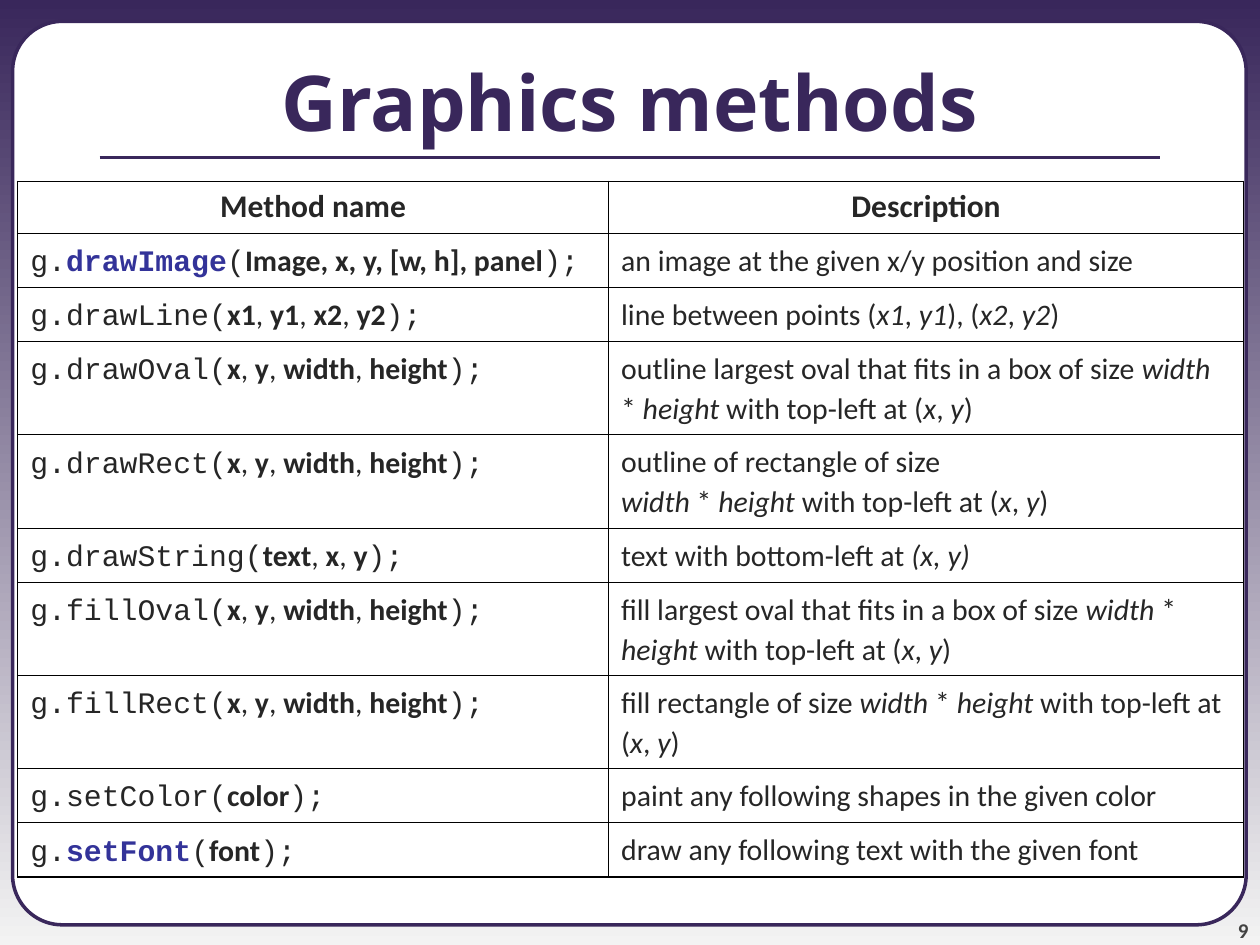
from dataclasses import dataclass

import pptx
import pptx.dml.color
import pptx.enum.dml
import pptx.enum.shapes
import pptx.enum.text
import pptx.oxml
import pptx.oxml.ns
import pptx.util
from pptx.util import Inches

ALIGN = pptx.enum.text.PP_ALIGN
ANCHOR = pptx.enum.text.MSO_ANCHOR


@dataclass(frozen=True)
class Theme:
    purple: str = "39275B"
    pale: str = "F3F3F3"
    panel: str = "FFFFFF"
    text: str = "262626"
    accent: str = "333399"
    number: str = "424242"
    border: str = "000000"
    title_font: str = "Open Sans"
    body_font: str = "Calibri"
    code_font: str = "Courier New"
    title_size: float = 44
    header_size: float = 18
    body_size: float = 17
    number_size: float = 12
    outer_line: float = 1.08
    inner_line: float = 0.45


@dataclass(frozen=True)
class Method:
    name: str
    args: tuple[str, ...]
    description: str  # underscores enclose italic parts
    height: float = 0.43
    highlight: bool = False


THEME = Theme()
TALL = 0.74
BOX = ("x", "y", "width", "height")
METHODS = [
    Method("drawImage", ("Image, x, y, [w, h], panel",),
           "an image at the given x/y position and size", highlight=True),
    Method("drawLine", ("x1", "y1", "x2", "y2"),
           "line between points (_x1_, _y1_), (_x2_, _y2_)"),
    Method("drawOval", BOX,
           "outline largest oval that fits in a box of size _width _* _height_"
           " with top-left at (_x_, _y_)", TALL),
    Method("drawRect", BOX,
           "outline of rectangle of size\n_width_ * _height_"
           " with top-left at (_x_, _y_)", TALL),
    Method("drawString", ("text", "x", "y"),
           "text with bottom-left at _(x, y)_"),
    Method("fillOval", BOX,
           "fill largest oval that fits in a box of size _width _* _height_"
           " with top-left at (_x_, _y_)", TALL),
    Method("fillRect", BOX,
           "fill rectangle of size _width_ * _height_"
           " with top-left at (_x_, _y_)", TALL),
    Method("setColor", ("color",),
           "paint any following shapes in the given color"),
    Method("setFont", ("font",),
           "draw any following text with the given font", highlight=True),
]


def rgb(color: str) -> pptx.dml.color.RGBColor:
    return pptx.dml.color.RGBColor.from_string(color)


def style(font, name: str, size: float, color: str,
          bold: bool = False, italic: bool = False) -> None:
    font.name = name
    font.size = pptx.util.Pt(size)
    font.color.rgb = rgb(color)
    font.bold = bold
    font.italic = italic


def add_run(p, text: str, name: str = THEME.body_font, color: str = THEME.text,
            bold: bool = False, italic: bool = False) -> None:
    r = p.add_run()
    r.text = text
    style(r.font, name, THEME.body_size, color, bold, italic)


def add_label(s, box: tuple[float, ...], text: str, align, anchor,
              font: str, size: float, color: str, margin: bool = True) -> None:
    sp = s.shapes.add_textbox(*map(Inches, box))
    tf = sp.text_frame
    tf.text = text
    tf.word_wrap = True
    tf.vertical_anchor = anchor
    if not margin:
        tf.margin_left = tf.margin_right = tf.margin_top = tf.margin_bottom = 0
    p = tf.paragraphs[0]
    p.alignment = align
    style(p.runs[0].font, font, size, color, bold=True)


def add_background(s) -> None:
    fill = s.background.fill
    fill.gradient()
    fill.gradient_angle = 270
    for stop, color, position in zip(
            fill.gradient_stops, (THEME.purple, THEME.pale), (0, 1)):
        stop.color.rgb = rgb(color)
        stop.position = position


def add_panel(s) -> None:
    sp = s.shapes.add_shape(pptx.enum.shapes.MSO_SHAPE.ROUNDED_RECTANGLE,
                            Inches(0.1), Inches(0.17), Inches(9.79), Inches(7.17))
    sp.adjustments[0] = 0.055
    sp.shadow.inherit = False
    sp.fill.solid()
    sp.fill.fore_color.rgb = rgb(THEME.panel)
    sp.line.color.rgb = rgb(THEME.purple)
    sp.line.width = pptx.util.Pt(2)


def add_rule(s) -> None:
    line = s.shapes.add_connector(pptx.enum.shapes.MSO_CONNECTOR.STRAIGHT,
                                  Inches(0.79), Inches(1.25), Inches(9.21), Inches(1.25))
    line.line.color.rgb = rgb(THEME.purple)
    line.line.width = pptx.util.Pt(2.25)
    pptx.oxml.ns.qn("a:effectLst")
    line._element.spPr.append(
        pptx.oxml.parse_xml(f'<a:effectLst {pptx.oxml.ns.nsdecls("a")}/>'))


def set_borders(cell, outer: dict[str, bool]) -> None:
    tc_pr = cell._tc.get_or_add_tcPr()
    for side, is_outer in outer.items():
        width = pptx.util.Pt(THEME.outer_line if is_outer else THEME.inner_line)
        tc_pr.append(pptx.oxml.parse_xml(
            f'<a:ln{side} {pptx.oxml.ns.nsdecls("a")} w="{int(width)}">'
            f'<a:solidFill><a:srgbClr val="{THEME.border}"/></a:solidFill>'
            f'</a:ln{side}>'))
    cell.fill.background()


def write_header(cell, text: str) -> None:
    cell.text_frame.text = text
    p = cell.text_frame.paragraphs[0]
    p.alignment = ALIGN.CENTER
    p.space_before = pptx.util.Pt(4.5)
    style(p.runs[0].font, THEME.body_font, THEME.header_size, THEME.text, bold=True)


def body_paragraph(cell):
    p = cell.text_frame.paragraphs[0]
    p.line_spacing = 1.1
    p.space_before = pptx.util.Pt(4.2)
    return p


def write_call(cell, method: Method) -> None:
    p = body_paragraph(cell)
    code = THEME.code_font
    if method.highlight:
        add_run(p, "g.", code)
        add_run(p, method.name, code, THEME.accent, bold=True)
        add_run(p, "(", code)
    else:
        add_run(p, f"g.{method.name}(", code)
    for i, arg in enumerate(method.args):
        if i:
            add_run(p, ", ")
        add_run(p, arg, bold=True)
    add_run(p, ");", code)


def write_description(cell, text: str) -> None:
    p = body_paragraph(cell)
    for i, part in enumerate(text.split("_")):
        if not part:
            continue
        line, newline, _ = part.partition("\n")
        add_run(p, line, italic=i % 2 == 1)
        if newline:
            p.add_line_break()


def add_method_table(s) -> None:
    heights = [0.41] + [m.height for m in METHODS]
    widths = [4.69, 5.04]
    frame = s.shapes.add_table(len(heights), len(widths), Inches(0.14), Inches(1.44),
                               Inches(sum(widths)), Inches(sum(heights)))
    table = frame.table
    table.first_row = table.horz_banding = False
    for column, width in zip(table.columns, widths):
        column.width = Inches(width)
    for row, height in zip(table.rows, heights):
        row.height = Inches(height)

    for column, text in enumerate(("Method name", "Description")):
        write_header(table.cell(0, column), text)
    for i, method in enumerate(METHODS, start=1):
        write_call(table.cell(i, 0), method)
        write_description(table.cell(i, 1), method.description)

    last_row, last_column = len(heights) - 1, len(widths) - 1
    for i in range(len(heights)):
        for j in range(len(widths)):
            set_borders(table.cell(i, j), {"L": j == 0, "R": j == last_column,
                                           "T": i == 0, "B": i == last_row})


def main() -> None:
    prs = pptx.Presentation()
    prs.slide_width, prs.slide_height = Inches(10), Inches(7.5)
    s = prs.slides.add_slide(prs.slide_layouts[6])

    # Frame of the slide
    add_background(s)
    add_panel(s)
    add_label(s, (9.08, 7.08, 0.83, 0.4), "9", ALIGN.RIGHT, ANCHOR.BOTTOM,
              THEME.body_font, THEME.number_size, THEME.number, margin=False)
    add_rule(s)

    # Title and table
    add_label(s, (0, 0.17, 10, 1.25), "Graphics methods", ALIGN.CENTER, ANCHOR.MIDDLE,
              THEME.title_font, THEME.title_size, THEME.purple)
    add_method_table(s)

    prs.save("out.pptx")


if __name__ == "__main__":
    main()
